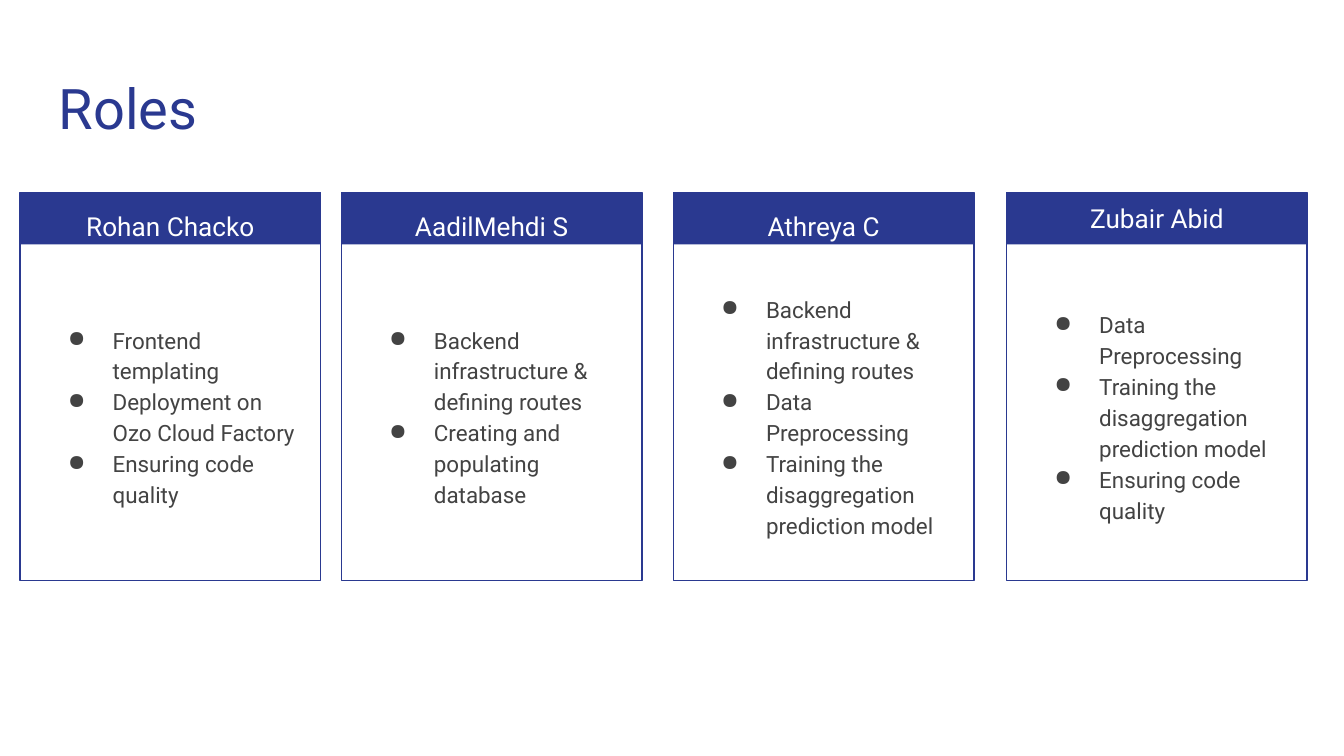
from lxml.etree import SubElement
from pptx import Presentation
from pptx.dml.color import RGBColor
from pptx.enum.shapes import MSO_SHAPE as Shape
from pptx.enum.text import MSO_ANCHOR as Anchor, PP_ALIGN as Align
from pptx.oxml.ns import qn
from pptx.util import Pt

COLORS = {"navy": "2A3990", "white": "FFFFFF", "body": "434343"}
FONT = "Roboto"
CARD_TOP, CARD_WIDTH, CARD_HEIGHT, BAR_HEIGHT = 103, 161, 208, 28
BODY_INSET, BODY_TOP, BODY_WIDTH, BODY_HEIGHT = 6.5, 139, 148.3, 167

TITLE_FORMAT = {"size": 30, "color": "navy"}
NAME_FORMAT = {"size": 14, "color": "white", "alignment": Align.CENTER}
BODY_FORMAT = {"size": 12, "color": "body", "alignment": Align.LEFT, "line_spacing": 1.15}

# left edge, name, anchor of the name, line spacing of the name, duties
MEMBERS = [
    (10.8, "Rohan Chacko", Anchor.TOP, 1.15,
     ["Frontend templating", "Deployment on Ozo Cloud Factory", "Ensuring code quality"]),
    (182.9, "AadilMehdi S", Anchor.TOP, 1.15,
     ["Backend infrastructure & defining routes", "Creating and populating database"]),
    (360.8, "Athreya C", Anchor.TOP, 1.15,
     ["Backend infrastructure & defining routes", "Data Preprocessing",
      "Training the disaggregation prediction model"]),
    (539.3, "Zubair Abid", Anchor.MIDDLE, 1.0,
     ["Data Preprocessing", "Training the disaggregation prediction model",
      "Ensuring code quality"]),
]


def rgb(name):
    return RGBColor.from_string(COLORS[name])


def add_bullet(paragraph):
    properties = paragraph._p.get_or_add_pPr()
    properties.set("marL", str(Pt(36)))
    properties.set("indent", str(Pt(-24)))
    color = SubElement(properties, qn("a:buClr"))
    SubElement(color, qn("a:srgbClr"), val=COLORS["body"])
    SubElement(properties, qn("a:buChar"), char="●")


def write(shape, lines, text_format, anchor=Anchor.TOP, bulleted=False):
    """Fill the shape with one formatted paragraph per line."""
    frame = shape.text_frame
    frame.word_wrap = True
    frame.vertical_anchor = anchor
    for side in ("left", "top", "right", "bottom"):
        setattr(frame, f"margin_{side}", Pt(7.2))
    frame.text = "\n".join(lines)
    for paragraph in frame.paragraphs:
        for name in ("alignment", "line_spacing"):
            if name in text_format:
                setattr(paragraph, name, text_format[name])
        if bulleted:
            add_bullet(paragraph)
        font = paragraph.runs[0].font
        font.name = FONT
        font.size = Pt(text_format["size"])
        font.color.rgb = rgb(text_format["color"])


def add_text(slide, box, lines, text_format, **options):
    shape = slide.shapes.add_textbox(*map(Pt, box))
    write(shape, lines, text_format, **options)


def add_rectangle(slide, box, fill=None, line=None):
    shape = slide.shapes.add_shape(Shape.RECTANGLE, *map(Pt, box))
    shape.shadow.inherit = False
    if fill:
        shape.fill.solid()
        shape.fill.fore_color.rgb = rgb(fill)
    else:
        shape.fill.background()
    if line:
        shape.line.color.rgb = rgb(line)
        shape.line.width = Pt(0.75)
    else:
        shape.line.fill.background()
    return shape


def add_member_card(slide, left, name, anchor, spacing, duties):
    bar = add_rectangle(slide, (left, CARD_TOP, CARD_WIDTH, BAR_HEIGHT), fill="navy")
    write(bar, [name], NAME_FORMAT | {"line_spacing": spacing}, anchor=anchor)
    add_rectangle(slide, (left, CARD_TOP, CARD_WIDTH, CARD_HEIGHT), line="navy")
    add_text(slide, (left + BODY_INSET, BODY_TOP, BODY_WIDTH, BODY_HEIGHT), duties,
             BODY_FORMAT, anchor=Anchor.MIDDLE, bulleted=True)


def main():
    presentation = Presentation()
    presentation.slide_width, presentation.slide_height = Pt(720), Pt(405)
    slide = presentation.slides.add_slide(presentation.slide_layouts[6])
    add_text(slide, (24.5, 32.4, 671, 47.5), ["Roles"], TITLE_FORMAT)
    for member in MEMBERS:
        add_member_card(slide, *member)
    presentation.save("out.pptx")


if __name__ == "__main__":
    main()
